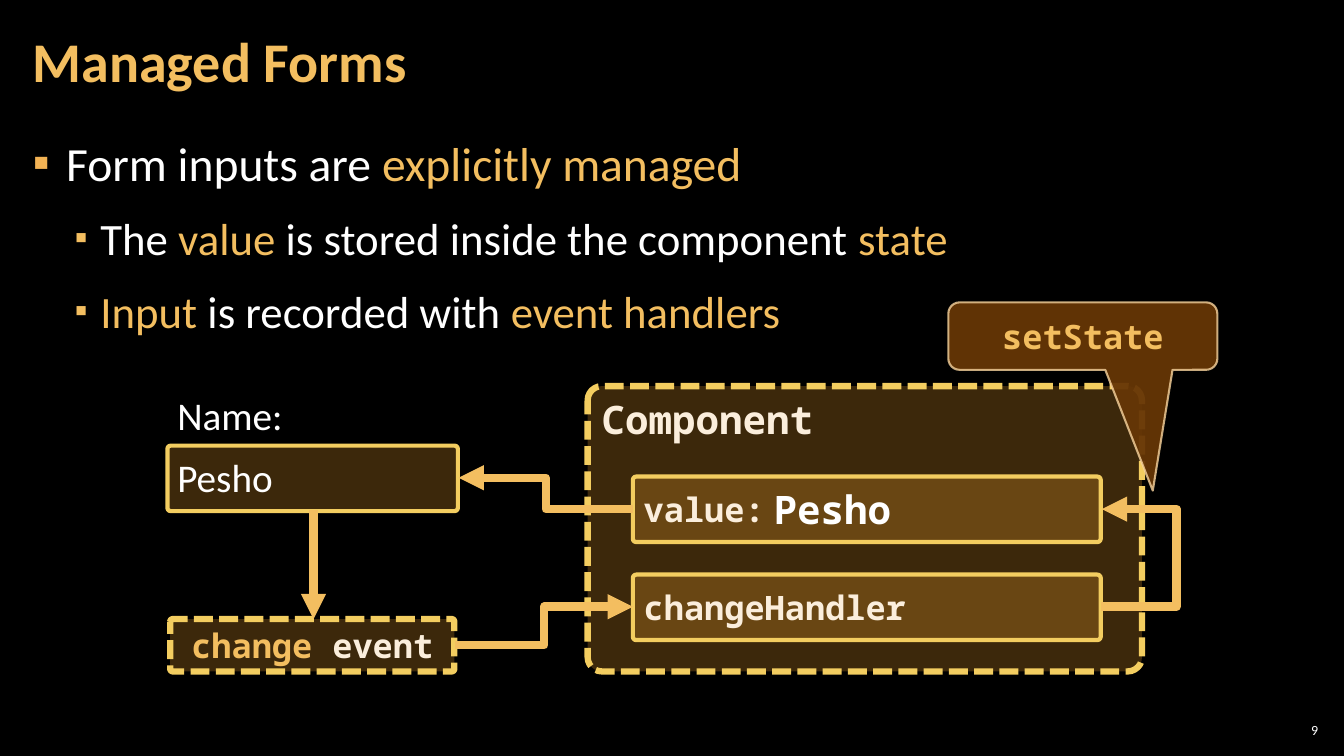
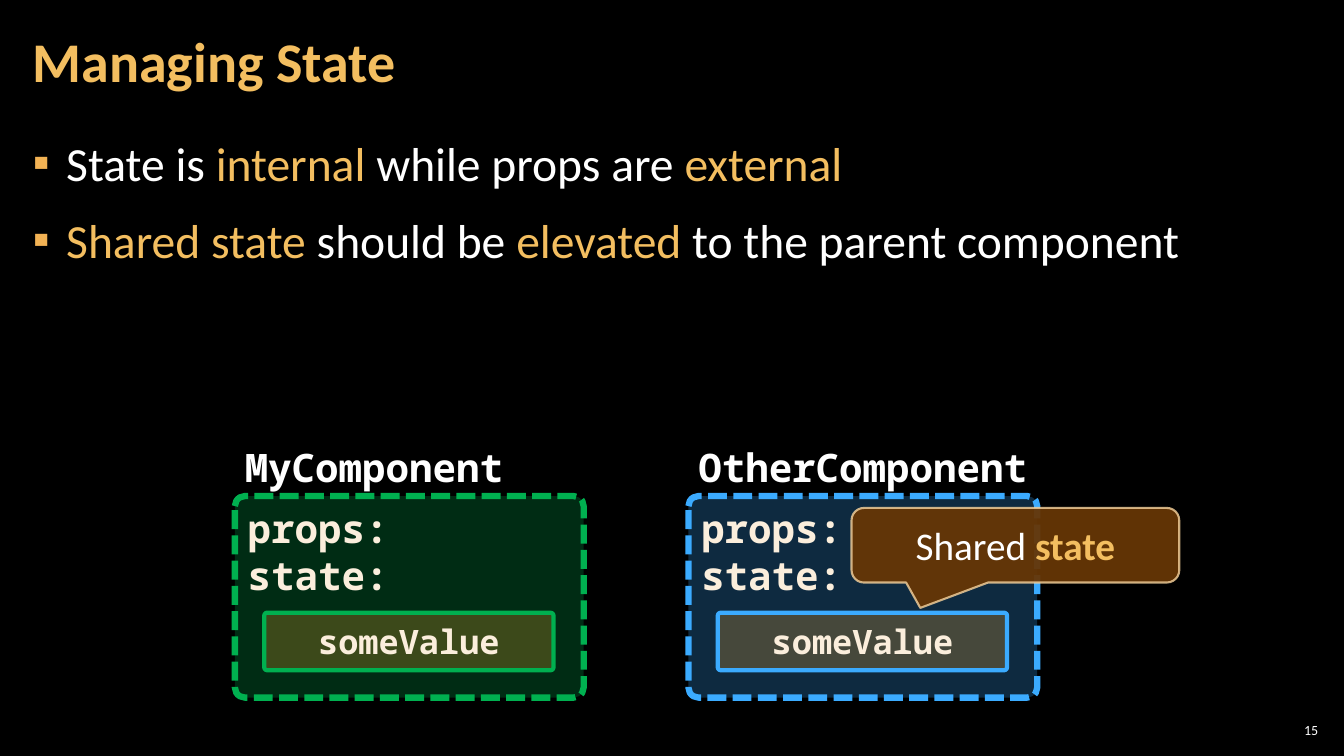
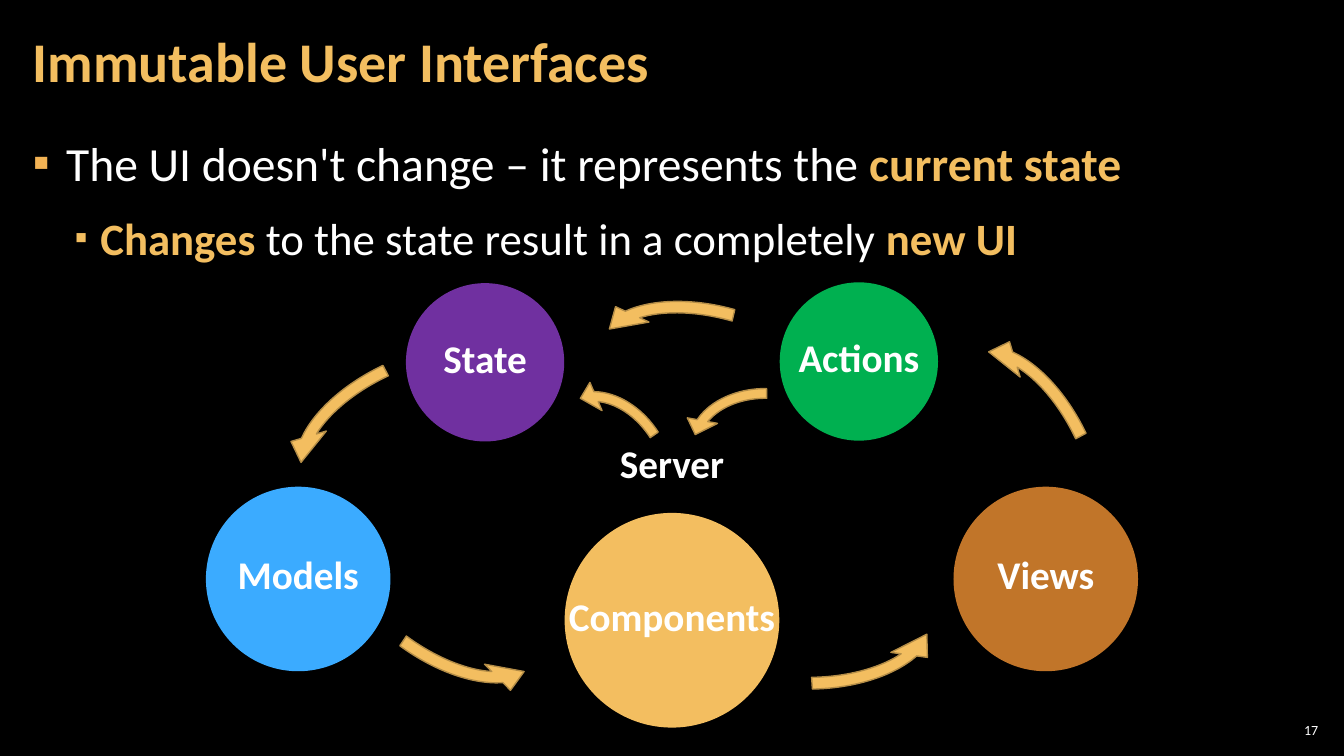
from lxml import etree
from pptx import Presentation, util as u
from pptx.dml.color import RGBColor
from pptx.enum import dml, shapes, text
from pptx.oxml.ns import qn

COLOURS = {
    "black": "000000", "white": "FFFFFF", "gold": "F3BE60", "cream": "FBEEDC",
    "bullet": "F2B254", "amber": "F0A22E", "yellow": "F3CD60", "brown": "663606",
    "sand": "F8D49E", "green": "00B050", "blue": "3BABFF", "purple": "7030A0",
    "copper": "C17529", "bronze": "B48D47",
}
SANS, MONO = "Calibri", "Noto Sans Mono"
LEFT, CENTER, RIGHT = text.PP_ALIGN.LEFT, text.PP_ALIGN.CENTER, text.PP_ALIGN.RIGHT
TOP, MIDDLE = text.MSO_ANCHOR.TOP, text.MSO_ANCHOR.MIDDLE
SHAPE = shapes.MSO_SHAPE
WIDTH, HEIGHT = 33.87, 19.05
LEVELS = [  # size, left margin, hanging indent, bullet colour, bullet percent
    (34, 0.84, 0.84, "bullet", 100),
    (32, 1.7, 0.64, "gold", 80),
]


def rgb(name):
    return RGBColor.from_string(COLOURS[name])


def child(parent, tag, **attributes):
    return etree.SubElement(parent, qn(tag), attributes)


def paint(fill, name, percent=100):
    fill.solid()
    fill.fore_color.rgb = rgb(name)
    if percent < 100:
        colour = fill._xPr.find(f".//{qn('a:srgbClr')}")
        child(colour, "a:alpha", val=str(percent * 1000))


def write(para, spans, size, font=SANS, colour="white", bold=False, align=LEFT):
    """Fill a paragraph; a span is a string, or (text, colour[, bold])."""
    para.alignment = align
    para.font.size = u.Pt(size)
    para.font.name = font
    para.font.bold = bold
    para.font.color.rgb = rgb(colour)
    for item in [spans] if isinstance(spans, str) else spans:
        words, *style = (item,) if isinstance(item, str) else item
        span = para.add_run()
        span.text = words
        if style:
            span.font.color.rgb = rgb(style[0])
        if len(style) > 1:
            span.font.bold = style[1]


def set_frame(frame, anchor, inset=(0.25, 0.13)):
    frame.word_wrap = True
    frame.vertical_anchor = anchor
    frame.margin_left = frame.margin_right = u.Cm(inset[0])
    frame.margin_top = frame.margin_bottom = u.Cm(inset[1])


def add_text(page, at, spans, size, anchor=TOP, inset=(0.25, 0.13), **style):
    frame = page.shapes.add_textbox(*map(u.Cm, at)).text_frame
    set_frame(frame, anchor, inset)
    write(frame.paragraphs[0], spans, size, **style)
    return frame.paragraphs[0]


def add_figure(page, kind, at, fill, percent=100, line=None, weight=1, line_percent=100):
    box = page.shapes.add_shape(kind, *map(u.Cm, at))
    box.shadow.inherit = False
    paint(box.fill, fill, percent)
    if line:
        paint(box.line.fill, line, line_percent)
        box.line.width = u.Pt(weight)
    else:
        box.line.fill.background()
    return box


def add_panel(page, at, lines=(), size=24, fill="amber", line="yellow",
              dashed=False, anchor=MIDDLE, align=LEFT):
    """Translucent rounded box with code text, one paragraph per line."""
    box = add_figure(page, SHAPE.ROUNDED_RECTANGLE, at, fill, 25, line, 4.5 if dashed else 3)
    box.adjustments[0] = 0.05
    if dashed:
        box.line.dash_style = dml.MSO_LINE.SQUARE_DOT
    frame = box.text_frame
    set_frame(frame, anchor)
    for index, spans in enumerate(lines):
        para = frame.add_paragraph() if index else frame.paragraphs[0]
        write(para, spans, size, MONO, "cream", True, align)


def add_callout(page, at, tip, spans, size, **style):
    """Speech bubble; tip is the pointer's offset from the centre in box sizes."""
    box = add_figure(page, SHAPE.ROUNDED_RECTANGULAR_CALLOUT, at, "brown", 95, "sand", 1.5, 80)
    box.adjustments[0], box.adjustments[1] = tip
    set_frame(box.text_frame, MIDDLE, (0.76, 0.25))
    write(box.text_frame.paragraphs[0], spans, size, align=CENTER, **style)


def add_arrow(page, start, end, kind=shapes.MSO_CONNECTOR.ELBOW, reach=None):
    """Arrow; reach is how far an elbow bends out beyond its start."""
    arrow = page.shapes.add_connector(kind, *map(u.Cm, start + end))
    paint(arrow.line.fill, "gold")
    arrow.line.width = u.Pt(6)
    properties = arrow._element.spPr
    child(properties.find(qn("a:ln")), "a:tailEnd", type="triangle")
    child(properties, "a:effectLst")
    if reach:
        geometry = properties.find(qn("a:prstGeom"))
        guides = geometry.find(qn("a:avLst"))
        if guides is None:
            guides = child(geometry, "a:avLst")
        bend = round(reach / (end[0] - start[0]) * 100000)
        child(guides, "a:gd", name="adj1", fmla=f"val {bend}")


def add_swoosh(page, at, rotation):
    """Curved arrow of the cycle."""
    arrow = add_figure(page, SHAPE.CIRCULAR_ARROW, at, "gold", line="bronze")
    thickness, head_angle, end_angle, start_angle, head_width = 0.07, 7.37, 203.95, 164.09, 0.11
    for index, value in enumerate((thickness, head_angle, end_angle, start_angle, head_width)):
        arrow.adjustments[index] = value
    arrow.rotation = rotation
    arrow._element.spPr.find(qn("a:xfrm")).set("flipH", "1")


def add_label(page, center, words):
    width, height = 5.92, 1.45
    at = (center[0] - width / 2, center[1] - height / 2, width, height)
    add_text(page, at, words, 28, bold=True, align=CENTER)


def add_circle(page, center, diameter, fill, words):
    x, y = center
    at = (x - diameter / 2, y - diameter / 2, diameter, diameter)
    add_figure(page, SHAPE.OVAL, at, fill)
    add_label(page, (x, y - 0.12), words)


def add_bullet(para, level, spans):
    size, margin, hanging, colour, percent = LEVELS[level]
    para.level = level
    para.line_spacing = 1.05
    para.space_before = para.space_after = u.Pt(6)
    properties = para._p.get_or_add_pPr()
    properties.set("marL", str(u.Cm(margin)))
    properties.set("indent", str(-u.Cm(hanging)))
    child(child(properties, "a:buClr"), "a:srgbClr", val=COLOURS[colour])
    child(properties, "a:buSzPct", val=str(percent * 1000))
    child(properties, "a:buFont", typeface=SANS)
    child(properties, "a:buChar", char="▪")
    write(para, spans, size)


def add_page(deck, title, number, bullets):
    """Blank page with title, page number and bullets given as (level, spans)."""
    page = deck.slides.add_slide(deck.slide_layouts[6])
    add_text(page, (32.13, 18.14, 1.19, 0.53), str(number), 10, MIDDLE, (0.1, 0.1), align=RIGHT)
    frame = page.shapes.add_textbox(*map(u.Cm, (0.53, 3.2, 32.79, 15.47))).text_frame
    set_frame(frame, TOP, (0.3, 0.1))
    for index, (level, spans) in enumerate(bullets):
        add_bullet(frame.add_paragraph() if index else frame.paragraphs[0], level, spans)
    heading = add_text(page, (0.53, 0.1, 26.59, 3.07), title, 40, MIDDLE, (0.3, 0.1),
                       colour="gold", bold=True)
    heading.line_spacing = 0.9
    return page


def build_forms(deck):
    page = add_page(deck, "Managed Forms", 9, [
        (0, ["Form inputs are ", ("explicitly managed", "gold")]),
        (1, ["The ", ("value", "gold"), " is stored inside the component ", ("state", "gold")]),
        (1, [("Input", "gold"), " is recorded with ", ("event handlers", "gold")]),
    ])
    add_panel(page, (14.81, 9.73, 13.97, 7.19), ["Component"], 28, dashed=True, anchor=TOP)
    for top, words in ((12.01, "value:"), (14.48, "changeHandler")):
        add_panel(page, (15.95, top, 11.79, 1.65), [words])
    add_panel(page, (4.22, 11.23, 7.32, 1.65))
    add_text(page, (4.22, 9.73, 3.18, 1.47), "Name:", 28)
    add_text(page, (4.22, 11.3, 4.45, 1.45), "Pesho", 28)
    add_text(page, (19.25, 12.09, 4.45, 1.45), "Pesho", 28, font=MONO, bold=True)
    add_panel(page, (4.29, 15.6, 7.16, 1.32), [[("change", "gold"), " event"]],
              dashed=True, align=CENTER)
    add_arrow(page, (7.9, 12.85), (7.9, 15.6), shapes.MSO_CONNECTOR.STRAIGHT)
    add_arrow(page, (11.48, 16.26), (15.95, 15.29))
    add_arrow(page, (15.95, 12.83), (11.56, 12.04))
    add_arrow(page, (27.74, 15.29), (27.77, 12.83), reach=1.91)
    add_callout(page, (23.9, 7.62, 6.78, 1.7), (0.26, 2.29), "setState", 24,
                font=MONO, colour="gold", bold=True)


def build_state(deck):
    page = add_page(deck, "Managing State", 15, [
        (0, ["State is ", ("internal", "gold"), " while props are ", ("external", "gold")]),
        (0, [("Shared state ", "gold"), "should be ", ("elevated", "gold"),
             " to the parent component"]),
    ])
    for left, colour, name in ((5.92, "green", "MyComponent"), (17.35, "blue", "OtherComponent")):
        add_panel(page, (left, 12.5, 8.79, 5.08), ["props:", "state:"], 28, colour, colour,
                  dashed=True, anchor=TOP)
        add_panel(page, (left + 0.74, 15.44, 7.29, 1.45), ["someValue"], line=colour, align=CENTER)
        add_text(page, (left, 11.05, 9.32, 1.45), name, 28, font=MONO, bold=True)
    add_callout(page, (21.46, 12.8, 8.26, 1.88), (-0.29, 0.84),
                ["Shared ", ("state", "gold", True)], 28)


def build_cycle(deck):
    page = add_page(deck, "Immutable User Interfaces", 17, [
        (0, ["The UI doesn't change – it represents the ", ("current state", "gold", True)]),
        (1, [("Changes", "gold", True), " to the state result in a completely ",
             ("new UI", "gold", True)]),
    ])
    middle = WIDTH / 2
    for offset, y, diameter, fill, words in (
        (0, 15.63, 5.41, "gold", "Components"),
        (4.71, 9.11, 3.99, "green", "Actions"),
        (-9.42, 14.59, 4.65, "blue", "Models"),
        (9.42, 14.59, 4.65, "copper", "Views"),
        (-4.71, 9.13, 3.99, "purple", "State"),
    ):
        add_circle(page, (middle + offset, y), diameter, fill, words)
    add_label(page, (middle, 11.67), "Server")
    outer, inner = (7.11, 4.22), (4.5, 3.51)
    for corner, size, rotation in (
        ((16.81, 13.46), outer, 180),
        ((22.23, 9.65), outer, 65.5),
        ((14.55, 7.44), outer, 16.8),
        ((6.93, 8.69), outer, 335.8),
        ((7.52, 12.67), outer, 217.3),
        ((17.09, 9.53), inner, 2.6),
        ((13.11, 9.98), inner, 58.9),
    ):
        add_swoosh(page, corner + size, rotation)


def main():
    deck = Presentation()
    deck.slide_width, deck.slide_height = u.Cm(WIDTH), u.Cm(HEIGHT)
    paint(deck.slide_master.background.fill, "black")
    build_forms(deck)
    build_state(deck)
    build_cycle(deck)
    deck.save("out.pptx")


if __name__ == "__main__":
    main()
